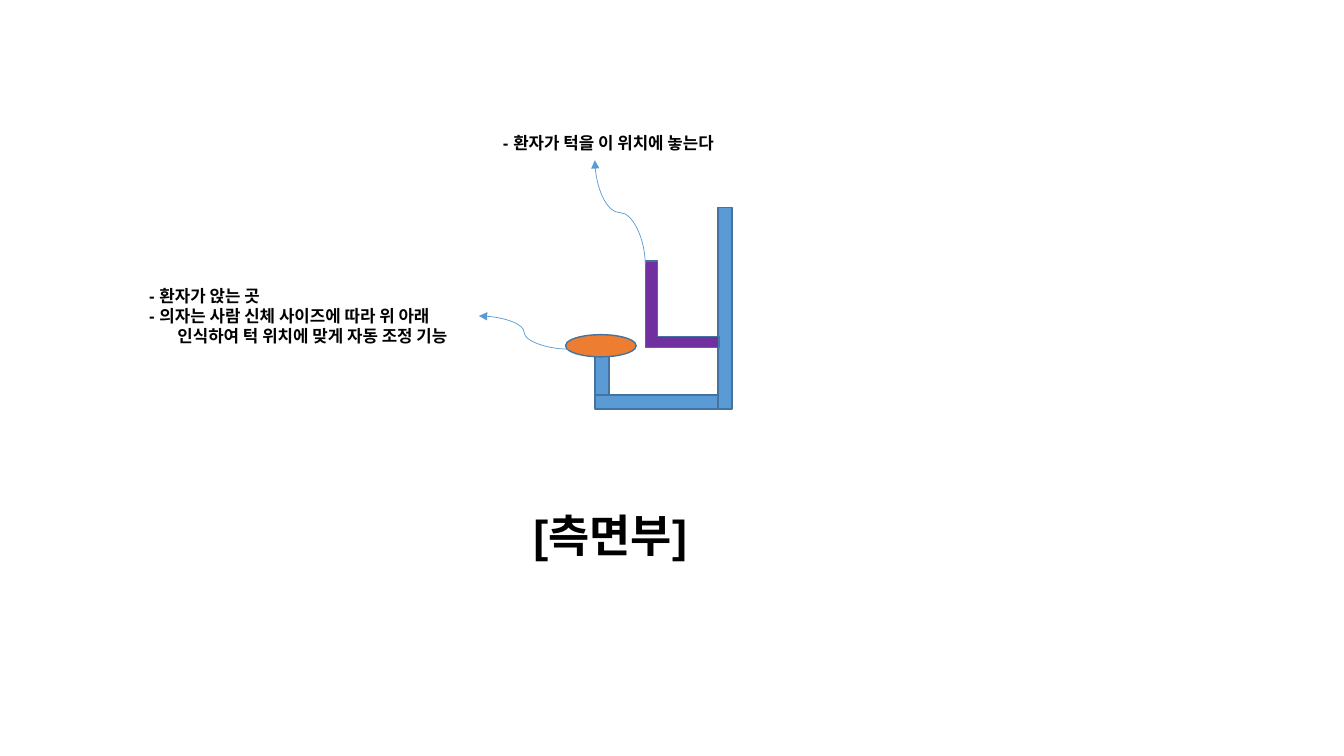
from lxml.etree import SubElement
from pptx import Presentation
from pptx.dml.color import RGBColor
from pptx.enum.shapes import MSO_CONNECTOR, MSO_SHAPE
from pptx.enum.text import MSO_ANCHOR, MSO_AUTO_SIZE, PP_ALIGN
from pptx.oxml.ns import qn
from pptx.util import Inches, Pt

COLORS = {
    "frame": "5B9BD5",
    "outline": "43739E",
    "seat": "ED7D31",
    "chin_rest": "7030A0",
    "text": "000000",
}
BAR = 0.14


def color(name):
    """Return the named palette colour."""
    return RGBColor.from_string(COLORS[name])


def add_part(slide, kind, box, fill):
    """Add one outlined part of the chair at box (left, top, width, height)."""
    shape = slide.shapes.add_shape(kind, *map(Inches, box))
    shape.shadow.inherit = False
    shape.fill.solid()
    shape.fill.fore_color.rgb = color(fill)
    shape.line.color.rgb = color("outline")
    shape.line.width = Pt(1)
    return shape


def add_chair(slide, left, top, width, height):
    """Draw the side view of the chair inside its box."""
    right, bottom = left + width, top + height
    post_left = left + 0.29
    base_top = bottom - BAR
    back_left = right - BAR
    bars = [
        (back_left, top, BAR, height),
        (post_left, base_top, back_left - post_left, BAR),
        (post_left, base_top - 0.42, BAR, 0.42),
    ]
    for bar in bars:
        add_part(slide, MSO_SHAPE.RECTANGLE, bar, "frame")
    add_part(slide, MSO_SHAPE.OVAL, (left, top + 1.26, 0.7, 0.22), "seat")
    chin_rest = add_part(
        slide, MSO_SHAPE.CORNER, (left + 0.79, top + 0.53, 0.73, 0.86), "chin_rest"
    )
    chin_rest.adjustments[0] = 0.15
    chin_rest.adjustments[1] = 0.17


def add_pointer(slide, start, end, vertical=False):
    """Draw a curved arrow that leaves start sideways, or upright if vertical."""
    if vertical:
        middle_x, middle_y = (start[0] + end[0]) / 2, (start[1] + end[1]) / 2
        start, end = (
            (middle_x - y + middle_y, middle_y + x - middle_x) for x, y in (start, end)
        )
    connector = slide.shapes.add_connector(
        MSO_CONNECTOR.CURVE, *map(Inches, (*start, *end))
    )
    connector.line.color.rgb = color("frame")
    connector.line.width = Pt(0.5)
    properties = connector._element.spPr
    if vertical:
        properties.find(qn("a:xfrm")).set("rot", str(270 * 60000))
    SubElement(properties.find(qn("a:ln")), qn("a:tailEnd"), type="triangle")
    SubElement(properties, qn("a:effectLst"))


def write_text(shape, box, text, size, hanging=0):
    """Place a text shape at box and set its bold, left-aligned wording."""
    shape.left, shape.top, shape.width, shape.height = map(Inches, box)
    frame = shape.text_frame
    frame.text = text
    frame.word_wrap = True
    frame.auto_size = MSO_AUTO_SIZE.NONE
    frame.vertical_anchor = MSO_ANCHOR.TOP
    for paragraph in frame.paragraphs:
        paragraph.alignment = PP_ALIGN.LEFT
        paragraph.line_spacing = 1.0
        paragraph.space_before = paragraph.space_after = Pt(0)
        properties = paragraph._p.get_or_add_pPr()
        properties.set("marL", str(Inches(hanging)))
        properties.set("indent", str(-Inches(hanging)))
        SubElement(properties, qn("a:buNone"))
        for run in paragraph.runs:
            run.font.name = "Arial"
            run.font.size = Pt(size)
            run.font.bold = True
            run.font.color.rgb = color("text")


def add_chin_note(slide, left, top, width, height):
    """Add the chin rest note and the arrow that rises to it."""
    note = slide.shapes.add_textbox(0, 0, 0, 0)
    write_text(note, (left, top, width, height), "- 환자가 턱을 이 위치에 놓는다", 12)
    tip = (left + 1.01, top + height + 0.02)
    add_pointer(slide, (tip[0] + 0.5, tip[1] + 1.04), tip, vertical=True)


def add_seat_note(slide, left, top, width, height):
    """Fill the body with the seat notes and add the arrow that leads to them."""
    notes = [
        "- 환자가 앉는 곳",
        "- 의자는 사람 신체 사이즈에 따라 위 아래\v인식하여 턱 위치에 맞게 자동 조정 기능",
    ]
    write_text(
        slide.placeholders[1], (left, top, width, height), "\n".join(notes), 12, 0.28
    )
    tip = (left + width - 0.05, top + height / 2)
    add_pointer(slide, (tip[0] + 0.9, tip[1] + 0.33), tip)


def build_side_view(presentation):
    """Add the slide that shows the chair from the side."""
    slide = presentation.slides.add_slide(presentation.slide_layouts[1])
    write_text(slide.shapes.title, (5.19, 4.99, 2.72, 0.64), "[측면부]", 32)
    add_chair(slide, 5.61, 2.06, 1.65, 2)
    add_chin_note(slide, 4.89, 1.27, 2.72, 0.3)
    add_seat_note(slide, 1.38, 2.78, 3.42, 0.71)


def main():
    """Build and save the presentation."""
    presentation = Presentation()
    presentation.slide_width = Inches(13.33)
    presentation.slide_height = Inches(7.5)
    build_side_view(presentation)
    presentation.save("out.pptx")


main()
